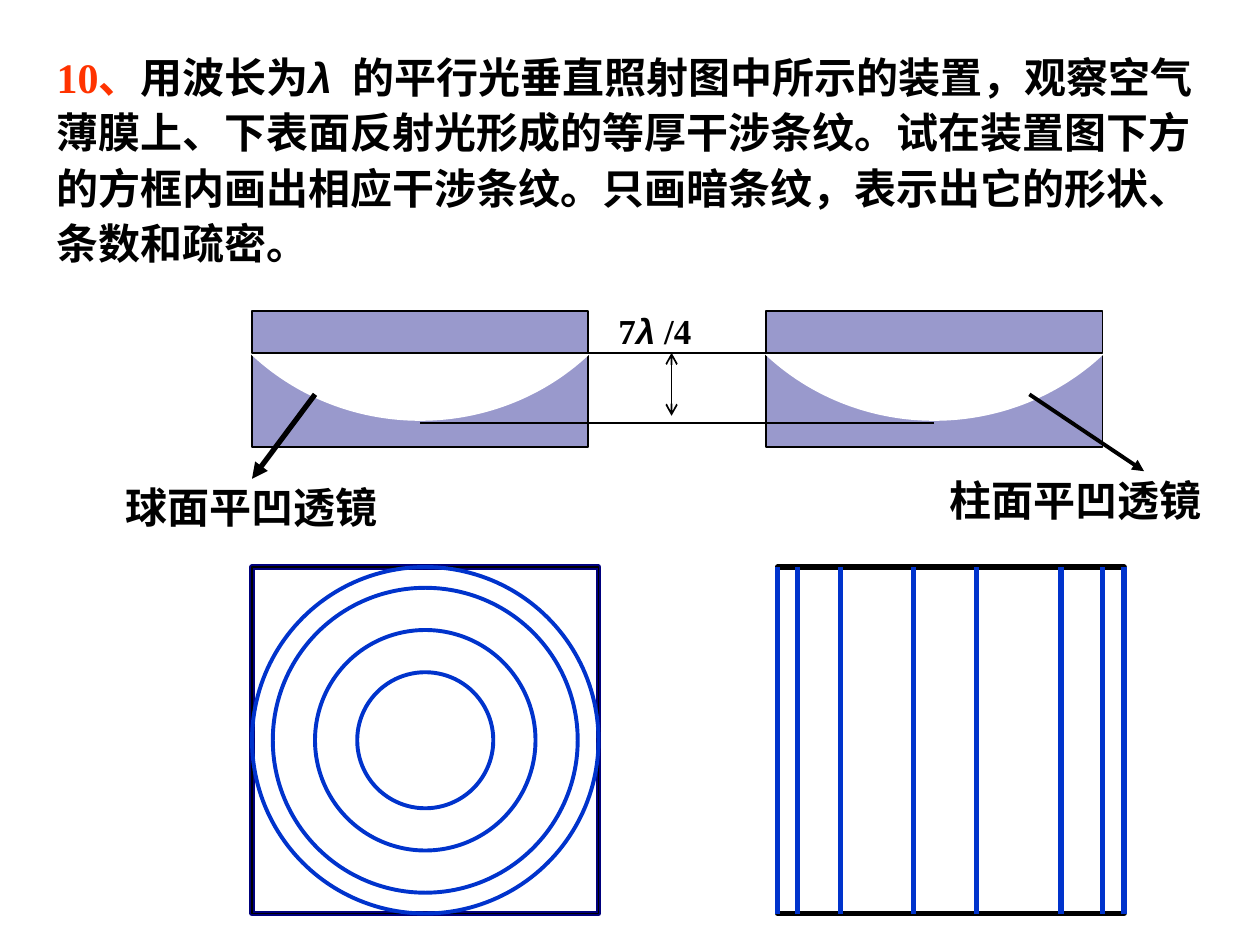
import pptx
import pptx.dml.color
import pptx.enum.shapes
import pptx.enum.text
import pptx.oxml
import pptx.oxml.ns
import pptx.util

Inches = pptx.util.Inches
Shape = pptx.enum.shapes.MSO_SHAPE

THEME = {
    "ink": "000000", "number": "FF3300", "glass": "9999CC", "air": "FFFFFF",
    "fringe": "0033CC", "ring_frame": "00007D",
    "serif": "Times New Roman", "symbol": "Arial",
    "body": 24, "small": 20,
}

# Content: text runs are (text, style)
QUESTION = [
    ("10、", "number"),
    ("用波长为", "plain"),
    ("λ", "symbol"),
    ("  的平行光垂直照射图中所示的装置，观察空气薄膜上、下表面反射光形成的等厚干涉条纹。"
     "试在装置图下方的方框内画出相应干涉条纹。只画暗条纹，表示出它的形状、条数和疏密。", "plain"),
]
THICKNESS = [("7", "plain"), ("λ", "symbol"), (" /4", "plain")]
# Lens labels: text, box (left, top, width, height), pointer start, end, weight
LENS_LABELS = [
    ("柱面平凹透镜", (7.44, 3.72, 2.44, 0.5), (8.17, 3.13), (9.08, 3.74), 2.25),
    ("球面平凹透镜", (0.9, 3.77, 3.35, 0.5), (2.5, 3.13), (2, 3.8), 3),
]

# Geometry
DEVICE_LEFTS = [2, 6.08]
DEVICE_WIDTH, PLATE_TOP, GAP_TOP, GAP_BOTTOM = 2.67, 2.47, 2.8, 3.36
CURVE_WIDTH, CURVE_HEIGHT, CURVE_TOP = 3.83, 3.67, -0.33
FRAME_TOP, FRAME_SIZE = 4.5, 2.75
RING_LEFT, STRIPE_LEFT = 2, 6.17
RING_DIAMETERS = [2.75, 2.42, 1.75, 1.08]
STRIPE_OFFSETS = [0, 0.16, 0.5, 1.08, 1.58, 2.25, 2.58, 2.75]


def rgb(name):
    return pptx.dml.color.RGBColor.from_string(THEME[name])


def add_figure(shapes, preset, box, fill=None, line=None, weight=1):
    figure = shapes.add_shape(preset, *map(Inches, box))
    figure.shadow.inherit = False
    if fill:
        figure.fill.solid()
        figure.fill.fore_color.rgb = rgb(fill)
    else:
        figure.fill.background()
    if line:
        figure.line.color.rgb = rgb(line)
        figure.line.width = pptx.util.Pt(weight)
    else:
        figure.line.fill.background()


def add_line(shapes, start, end, color="ink", weight=1, head=None, tail=None):
    line = shapes.add_connector(pptx.enum.shapes.MSO_CONNECTOR.STRAIGHT,
                                *map(Inches, (*start, *end)))
    line.line.color.rgb = rgb(color)
    line.line.width = pptx.util.Pt(weight)
    outline = line.line._get_or_add_ln()
    for tag, arrow in (("a:headEnd", head), ("a:tailEnd", tail)):
        if arrow:
            end_mark = pptx.oxml.xmlchemy.OxmlElement(tag)
            end_mark.set("type", arrow)
            outline.append(end_mark)
    line._element.spPr.append(pptx.oxml.xmlchemy.OxmlElement("a:effectLst"))


def add_text(shapes, box, runs, size, spacing=None):
    frame = shapes.add_textbox(*map(Inches, box)).text_frame
    frame.word_wrap = True
    frame.auto_size = pptx.enum.text.MSO_AUTO_SIZE.SHAPE_TO_FIT_TEXT
    paragraph = frame.paragraphs[0]
    if spacing:
        paragraph.line_spacing = spacing
    for text, style in runs:
        run = paragraph.add_run()
        run.text = text
        run.font.size = pptx.util.Pt(THEME[size])
        run.font.bold = True
        run.font.italic = style == "symbol"
        run.font.name = THEME["symbol" if style == "symbol" else "serif"]
        run.font.color.rgb = rgb("number" if style == "number" else "ink")


def main():
    deck = pptx.Presentation()
    deck.slide_width, deck.slide_height = Inches(10), Inches(7.5)
    shapes = deck.slides.add_slide(deck.slide_layouts[6]).shapes

    # Devices: concave lens, air film, flat plate
    for left in DEVICE_LEFTS:
        curve_left = left + (DEVICE_WIDTH - CURVE_WIDTH) / 2
        add_figure(shapes, Shape.RECTANGLE, (left, GAP_TOP, DEVICE_WIDTH, 0.75), "glass", "ink")
        add_figure(shapes, Shape.OVAL, (curve_left, CURVE_TOP, CURVE_WIDTH, CURVE_HEIGHT), "air")
        add_figure(shapes, Shape.RECTANGLE, (left, PLATE_TOP, DEVICE_WIDTH, GAP_TOP - PLATE_TOP),
                   "glass", "ink")

    # Question
    add_text(shapes, (0.35, 0.32, 9.45, 1.86), QUESTION, "body", 1.1)

    # Film thickness between the two devices
    lens_centers = [left + DEVICE_WIDTH / 2 for left in DEVICE_LEFTS]
    add_line(shapes, (lens_centers[0], GAP_BOTTOM), (lens_centers[1], GAP_BOTTOM))
    add_line(shapes, (DEVICE_LEFTS[0] + DEVICE_WIDTH, GAP_TOP), (DEVICE_LEFTS[1], GAP_TOP))
    add_line(shapes, (5.33, GAP_TOP), (5.33, 3.3), head="arrow", tail="arrow")
    add_text(shapes, (4.81, 2.41, 0.78, 0.44), THICKNESS, "small")

    # Lens names with pointers
    for name, box, start, end, weight in LENS_LABELS:
        add_line(shapes, start, end, weight=weight, tail="triangle")
        add_text(shapes, box, [(name, "plain")], "body")

    # Answer frames
    for left, color in ((RING_LEFT, "ring_frame"), (STRIPE_LEFT, "ink")):
        frame_box = (left, FRAME_TOP, FRAME_SIZE, FRAME_SIZE)
        add_figure(shapes, Shape.RECTANGLE, frame_box, line=color, weight=3)

    # Circular fringes of the spherical lens
    rings = shapes.add_group_shape().shapes
    add_figure(rings, Shape.RECTANGLE, (RING_LEFT, FRAME_TOP, FRAME_SIZE, FRAME_SIZE), line="ink")
    for diameter in RING_DIAMETERS:
        inset = (FRAME_SIZE - diameter) / 2
        add_figure(rings, Shape.OVAL, (RING_LEFT + inset, FRAME_TOP + inset, diameter, diameter),
                   line="fringe", weight=2.25)

    # Straight fringes of the cylindrical lens
    stripes = shapes.add_group_shape().shapes
    add_figure(stripes, Shape.RECTANGLE, (STRIPE_LEFT, FRAME_TOP, FRAME_SIZE, FRAME_SIZE),
               line="ink")
    for offset in STRIPE_OFFSETS:
        x = STRIPE_LEFT + offset
        add_line(stripes, (x, FRAME_TOP), (x, FRAME_TOP + FRAME_SIZE), "fringe", 3)

    deck.save("out.pptx")


if __name__ == "__main__":
    main()
